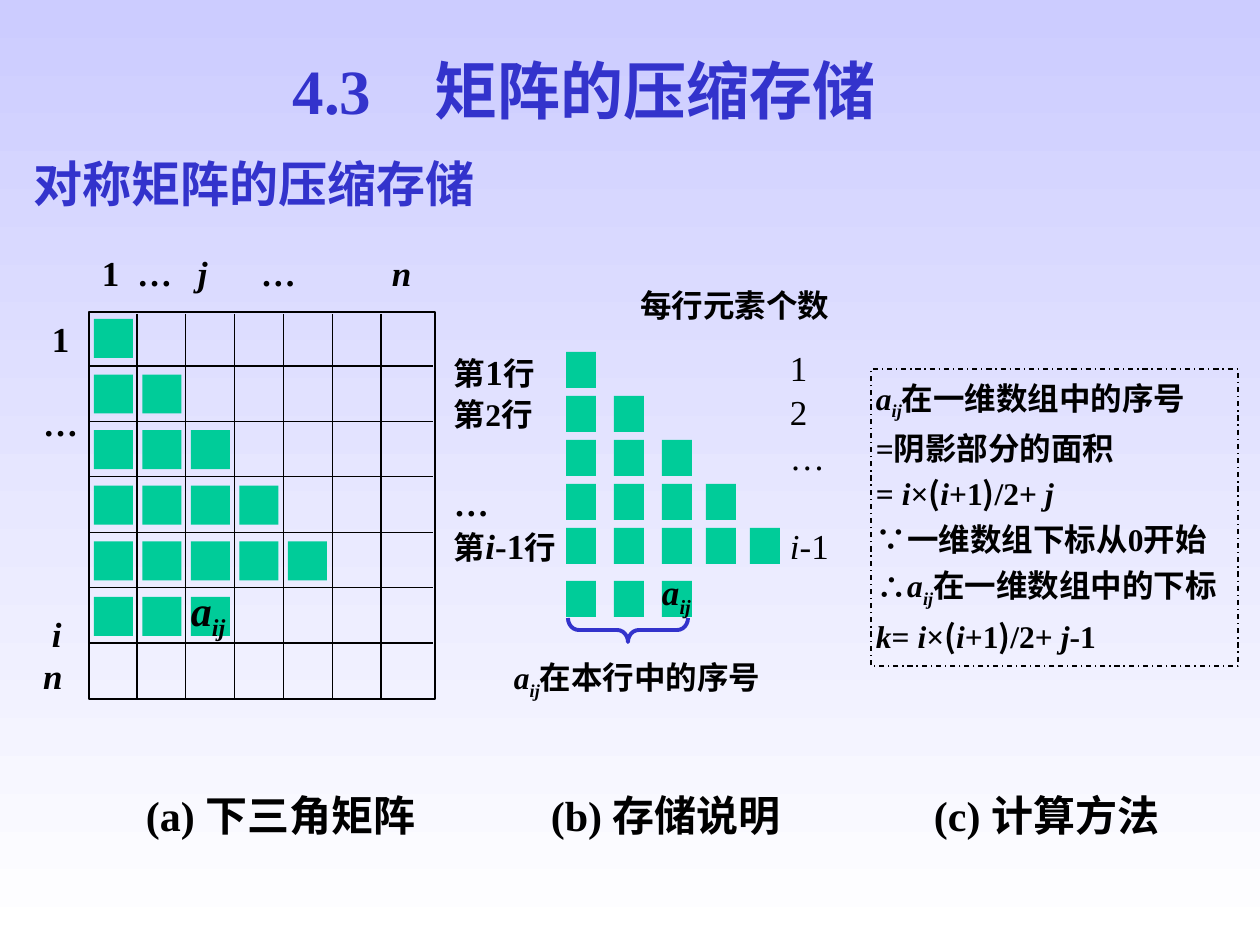
from lxml import etree
from pptx import Presentation
from pptx.dml.color import RGBColor
from pptx.enum import dml, shapes, text
from pptx.oxml import ns
from pptx.util import Emu, Pt

PX_PER_INCH = 126
LATIN, CJK = "Times New Roman", "Noto Sans CJK SC"
BLACK = RGBColor(0x00, 0x00, 0x00)
BLUE = RGBColor(0x33, 0x33, 0xCC)
GREEN = RGBColor(0x00, 0xCC, 0x99)
LAVENDER = RGBColor(0xCC, 0xCC, 0xFF)
WHITE = RGBColor(0xFF, 0xFF, 0xFF)

# A run is (text, style, optional size); style letters: i italic, s subscript, c CJK font
ELEMENT = [("a", "i"), ("ij", "is")]
AREA = [("i", "i"), ("×", ""), ("(", "c"), ("i", "i"), ("+1", ""),
        (")", "c"), ("/2+ ", ""), ("j", "i")]

TITLE = [[("4.3　矩阵的压缩存储", "")]]
SUBTITLE = [[("对称矩阵的压缩存储", "c")]]
FORMULAS = [
    ELEMENT + [("在一维数组中的序号", "")],
    [("=阴影部分的面积", "")],
    [("= ", "")] + AREA,
    [("∵一维数组下标从0开始", "")],
    [("∴", "")] + ELEMENT + [("在一维数组中的下标", "")],
    [("k", "i"), ("= ", "")] + AREA + [("-1", "")],
]
CAPTIONS = [("(a) 下三角矩阵", 146), ("(b) 存储说明", 551), ("(c) 计算方法", 934)]
INDEX_LABELS = [  # text, style, left, top
    ("1", "", 102, 251), ("…", "", 137, 251), ("j", "i", 198, 251),
    ("…", "", 261, 251), ("n", "i", 392, 251),
    ("1", "", 52, 318), ("…", "", 43, 401), ("i", "i", 52, 612), ("n", "i", 43, 654),
    ("…", "", 454, 481),
]
FIRST_ROWS = [[("第", ""), ("1", "", 20), ("行", "")], [("第2行", "")]]
LAST_FULL_ROW = [[("第", ""), ("i", "i", 20), ("-1", "", 20), ("行", "")]]
FIRST_COUNTS = [[("1", "")], [("2", "")], [("…", "")]]
LAST_COUNT = [[("i", "i"), ("-1", "")]]

ROW_LENGTHS = [1, 2, 3, 4, 5, 3]  # the last row ends at the element a_ij


def px(*lengths):
    return [Emu(round(length * 914400 / PX_PER_INCH)) for length in lengths]


def evenly(first, last, count):
    return [first + k * (last - first) / (count - 1) for k in range(count)]


def add_run(paragraph, content, style, size, bold, color):
    run = paragraph.add_run()
    run.text = content
    font = run.font
    font.size, font.bold, font.italic = Pt(size), bold, "i" in style
    font.color.rgb = color
    font.name = CJK if "c" in style else LATIN
    properties = run._r.get_or_add_rPr()
    etree.SubElement(properties, ns.qn("a:ea"), typeface=CJK)
    if "s" in style:
        properties.set("baseline", "-25000")


def write(shape, paragraphs, size, bold=True, color=BLACK, align=text.PP_ALIGN.JUSTIFY,
          spacing=1.0, before=0, insets=(0, 0, 0, 0), anchor=text.MSO_ANCHOR.TOP):
    frame = shape.text_frame
    frame.word_wrap = True
    frame.auto_size = text.MSO_AUTO_SIZE.NONE
    frame.vertical_anchor = anchor
    (frame.margin_left, frame.margin_top,
     frame.margin_right, frame.margin_bottom) = px(*insets)
    for number, runs in enumerate(paragraphs):
        paragraph = frame.paragraphs[0] if number == 0 else frame.add_paragraph()
        paragraph.alignment = align
        paragraph.line_spacing = spacing
        paragraph.space_before = Pt(before)
        for content, style, *own_size in runs:
            add_run(paragraph, content, style, own_size[0] if own_size else size, bold, color)


def add_label(slide, box, paragraphs, size, **options):
    shape = slide.shapes.add_textbox(*px(*box))
    write(shape, paragraphs, size, **options)


def add_preset(slide, kind, box, fill=None, line=None, width=0.75):
    shape = slide.shapes.add_shape(kind, *px(*box))
    shape.shadow.inherit = False
    if fill is None:
        shape.fill.background()
    else:
        shape.fill.solid()
        shape.fill.fore_color.rgb = fill
    if line is None:
        shape.line.fill.background()
    else:
        shape.line.color.rgb = line
        shape.line.width = Pt(width)
    return shape


def add_grid_line(slide, *ends):
    line = slide.shapes.add_connector(shapes.MSO_CONNECTOR.STRAIGHT, *px(*ends))
    line.line.color.rgb = BLACK
    line.line.width = Pt(0.75)
    etree.SubElement(line._element.spPr, ns.qn("a:effectLst"))


def add_triangle(slide, lefts, tops, width, height, size):
    """Draw the rows of squares and label the last one a_ij."""
    for top, length in zip(tops, ROW_LENGTHS):
        for left in lefts[:length]:
            square = add_preset(slide, RECTANGLE, (left, top, width, height), fill=GREEN)
    write(square, [ELEMENT], size, spacing=0.64)


def place(placeholder, box):
    placeholder.left, placeholder.top, placeholder.width, placeholder.height = px(*box)


RECTANGLE = shapes.MSO_SHAPE.RECTANGLE


def main():
    presentation = Presentation()
    presentation.slide_width, presentation.slide_height = px(1260, 945)
    slide = presentation.slides.add_slide(presentation.slide_layouts[1])

    background = slide.background.fill
    background.gradient()
    background.gradient_angle = 270
    for stop, color in zip(background.gradient_stops, (LAVENDER, WHITE)):
        stop.color.rgb = color
    for stop, position in zip(background.gradient_stops, (0, 1)):
        stop.position = position

    heading = dict(color=BLUE, insets=(13, 6, 13, 6), anchor=text.MSO_ANCHOR.MIDDLE)
    title, subtitle = slide.placeholders
    place(title, (262, 45, 644, 88))
    write(title, TITLE, 36, align=text.PP_ALIGN.CENTER, **heading)
    place(subtitle, (21, 147, 892, 72))
    write(subtitle, SUBTITLE, 28, align=text.PP_ALIGN.LEFT, **heading)
    properties = subtitle.text_frame.paragraphs[0]._p.get_or_add_pPr()
    properties.set("marL", "0")
    properties.set("indent", "0")
    etree.SubElement(properties, ns.qn("a:buNone"))

    # (a) lower triangular matrix
    add_preset(slide, RECTANGLE, (89, 312, 346, 387), line=BLACK)
    for y in evenly(366, 643, 6):
        add_grid_line(slide, 89, y, 433, y)
    for x in evenly(137, 381, 6):
        add_grid_line(slide, x, 314, x, 699)
    add_triangle(slide, evenly(94, 288, 5), evenly(319, 597, 6), 39, 39, 24)
    for content, style, left, top in INDEX_LABELS:
        add_label(slide, (left, top, 45, 45), [[(content, style)]], 20)

    # (b) how the rows are stored
    add_triangle(slide, (566, 614, 662, 706, 750), evenly(352, 528, 5) + [581], 30, 36, 20)
    brace = add_preset(slide, shapes.MSO_SHAPE.LEFT_BRACE, (616, 570, 24, 120),
                       line=BLUE, width=2.25)
    brace.rotation = 270
    brace.adjustments[0] = 0.45
    add_label(slide, (640, 286, 248, 47), [[("每行元素个数", "")]], 18)
    add_label(slide, (514, 658, 265, 57), [ELEMENT + [("在本行中的序号", "")]], 18)
    for top, height, paragraphs in ((353, 90, FIRST_ROWS), (527, 80, LAST_FULL_ROW)):
        add_label(slide, (454, top, 110, height), paragraphs, 18, spacing=0.96, before=2.2)
    for top, height, paragraphs in ((349, 140, FIRST_COUNTS), (527, 45, LAST_COUNT)):
        add_label(slide, (790, top, 42, height), paragraphs, 20, bold=False,
                  spacing=0.96, before=2.5)

    # (c) index calculation
    panel = add_preset(slide, RECTANGLE, (871, 369, 367, 297), line=BLACK)
    panel.line.dash_style = dml.MSO_LINE.DASH_DOT
    write(panel, FORMULAS, 18, spacing=1.2, insets=(5, 1, 0, 1))

    for caption, left in CAPTIONS:
        add_label(slide, (left, 790, 300, 59), [[(caption, "")]], 24)

    presentation.save("out.pptx")


if __name__ == "__main__":
    main()
